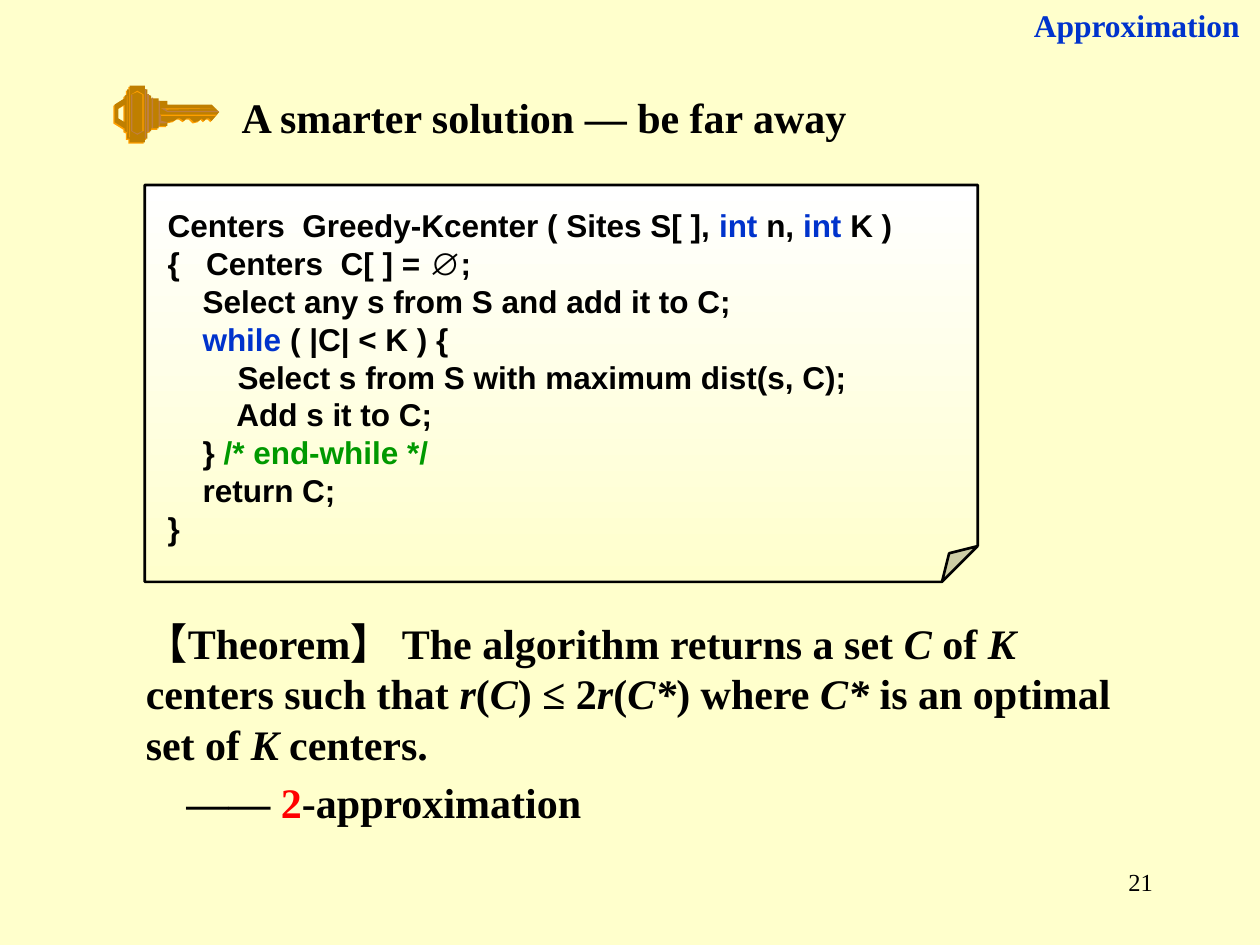
from lxml import etree
from pptx import Presentation
from pptx import util as u
from pptx.dml.color import RGBColor
from pptx.enum import shapes, text
from pptx.oxml.ns import qn

BLACK, BLUE, GREEN, RED = "000000", "0033CC", "009900", "FF0000"
CREAM, ORANGE, GOLD, BROWN = "FFFFCC", "FF9F00", "BF7F00", "BF7F3F"
SERIF, SANS = "Times New Roman", "Arial"
HUNDREDTH_INCH = u.Cm(0.0254)

KEY_OUTLINE = """91,97 91,83 94,86 94,94 99,97 99,83 94,86 91,83 99,78 99,76 101,75 101,71
103,71 103,68 115,68 115,71 117,71 117,75 120,76 120,78 126,78 126,80 133,80 133,83 168,83
174,89 168,96 166,94 164,94 162,96 160,94 158,96 154,97 151,94 148,94 146,96 143,94 141,94
138,96 133,97 133,100 126,100 126,102 120,102 120,104 117,105 117,110 115,110 115,113
103,113 103,110 101,110 101,105 99,104 99,102"""

KEY_DETAILS = [
    ("109,107 104,104 104,75 105,75 105,104 109,106 113,104 114,104", BROWN),
    ("109,72 114,75 114,104 113,104 113,75 109,73 104,75", ORANGE),
    ("126,91 172,91 171,92 128,92", ORANGE),
    ("128,86 171,86 172,86 131,87", ORANGE),
    ("128,86 131,86 133,88 173,88 174,89 133,89", BROWN),
    ("133,97 131,98 127,98 127,100 126,100 126,80 127,80 127,91 128,92 128,96", BROWN),
    ("117,105 117,75 118,75 118,105", BROWN),
]

KEY_BARS = [
    ((2.61, 1.8, 0.01, 0.97), ORANGE),
    ((2.56, 1.93, 0.01, 0.76), ORANGE),
    ((2.92, 1.8, 0.03, 0.99), BROWN),
    ((3.06, 1.97, 0.03, 0.61), BROWN),
]

CODE = [
    ["Centers  Greedy-Kcenter ( Sites S[ ], ", ("int ", {"color": BLUE}), "n, ",
     ("int ", {"color": BLUE}), "K )"],
    ["{   Centers  C[ ] = ∅;"],
    ["    Select any s from S and add it to C;"],
    [("    while", {"color": BLUE}), " ( |C| < K ) {"],
    ["        Select s from S with maximum dist(s, C);"],
    ["        Add s it to C;"],
    ["    } ", ("/* end-while */", {"color": GREEN})],
    ["    return C;"],
    ["}"],
]


def rgb(hex_color):
    return RGBColor.from_string(hex_color)


def cm(*values):
    return [u.Cm(v) for v in values]


def italic(word):
    return word, {"italic": True}


def add_run(p, content, size=24, font=SERIF, color=BLACK, bold=True, italic=False):
    r = p.add_run()
    r.text = content
    r.font.size = u.Pt(size)
    r.font.name = font
    r.font.color.rgb = rgb(color)
    r.font.bold = bold
    r.font.italic = italic


def write(tf, paragraphs, align=text.PP_ALIGN.LEFT, wrap=True, **fmt):
    tf.word_wrap = wrap
    tf.vertical_anchor = text.MSO_ANCHOR.TOP
    for i, runs in enumerate(paragraphs):
        p = tf.add_paragraph() if i else tf.paragraphs[0]
        p.alignment = align
        for run in runs:
            content, extra = (run, {}) if isinstance(run, str) else run
            add_run(p, content, **{**fmt, **extra})


def add_text(parent, box, runs, **fmt):
    sp = parent.add_textbox(*cm(*box))
    write(sp.text_frame, [runs], **fmt)


def paint(sp, color):
    sp.shadow.inherit = False
    sp.fill.solid()
    sp.fill.fore_color.rgb = rgb(color)
    sp.line.fill.background()


def add_polygon(parent, outline, color, dx=0, dy=0):
    pairs = [pair.split(",") for pair in outline.split()]
    points = [(int(x) + dx, int(y) + dy) for x, y in pairs]
    builder = parent.build_freeform(*points[0], scale=HUNDREDTH_INCH)
    builder.add_line_segments(points[1:], close=True)
    paint(builder.convert_to_shape(), color)


def add_bar(parent, box, color):
    paint(parent.add_shape(shapes.MSO_SHAPE.RECTANGLE, *cm(*box)), color)


def add_key_heading(s):
    group = s.shapes.add_group_shape().shapes
    add_polygon(group, KEY_OUTLINE, ORANGE, dx=-1, dy=1)
    add_polygon(group, KEY_OUTLINE, GOLD)
    for outline, color in KEY_DETAILS:
        add_polygon(group, outline, color)
    for box, color in KEY_BARS:
        add_bar(group, box, color)
    add_text(group, (4.62, 1.73, 14.27, 1.27), ["A smarter solution — be far away"])


def set_fold(sp, share):
    guides = sp._element.xpath(".//a:avLst")[0]
    etree.SubElement(guides, qn("a:gd"), name="adj", fmla=f"val {round(share * 100000)}")


def add_code_note(s):
    sp = s.shapes.add_shape(shapes.MSO_SHAPE.FOLDED_CORNER, *cm(2.92, 3.73, 16.79, 8))
    set_fold(sp, 0.09)
    sp.shadow.inherit = False
    sp.fill.gradient()
    sp.fill.gradient_angle = 270
    for stop, color in zip(sp.fill.gradient_stops, ("FFFFFF", CREAM)):
        stop.color.rgb = rgb(color)
    sp.line.color.rgb = rgb(BLACK)
    sp.line.width = u.Pt(1.5)
    tf = sp.text_frame
    tf.margin_left, tf.margin_top, tf.margin_right, tf.margin_bottom = cm(0.46, 0.43, 0.25, 0.13)
    write(tf, CODE, wrap=False, size=18, font=SANS)


def main():
    prs = Presentation()
    prs.slide_width, prs.slide_height = cm(25.4, 19.05)
    s = prs.slides.add_slide(prs.slide_layouts[6])
    s.background.fill.solid()
    s.background.fill.fore_color.rgb = rgb(CREAM)

    right = text.PP_ALIGN.RIGHT
    add_text(s.shapes, (18.21, 17.35, 5.28, 1.27), ["21"], align=right, size=14, bold=False)
    add_text(s.shapes, (19.91, 0, 5.49, 1.02), ["Approximation "], align=right, size=18, color=BLUE)
    add_key_heading(s)
    add_code_note(s)
    theorem = ["【Theorem】 The algorithm returns a set ", italic("C"), " of ", italic("K"),
               " centers such that ", italic("r"), "(", italic("C"), ") ≤ 2", italic("r"), "(",
               italic("C*"), ") where ", italic("C*"), " is an optimal set of ", italic("K"),
               " centers."]
    add_text(s.shapes, (2.69, 12.32, 20.19, 3.3), theorem)
    add_text(s.shapes, (3.51, 15.52, 8.48, 1.27),
             ["—— ", ("2", {"color": RED}), "-approximation"], wrap=False)
    prs.save("out.pptx")


if __name__ == "__main__":
    main()
